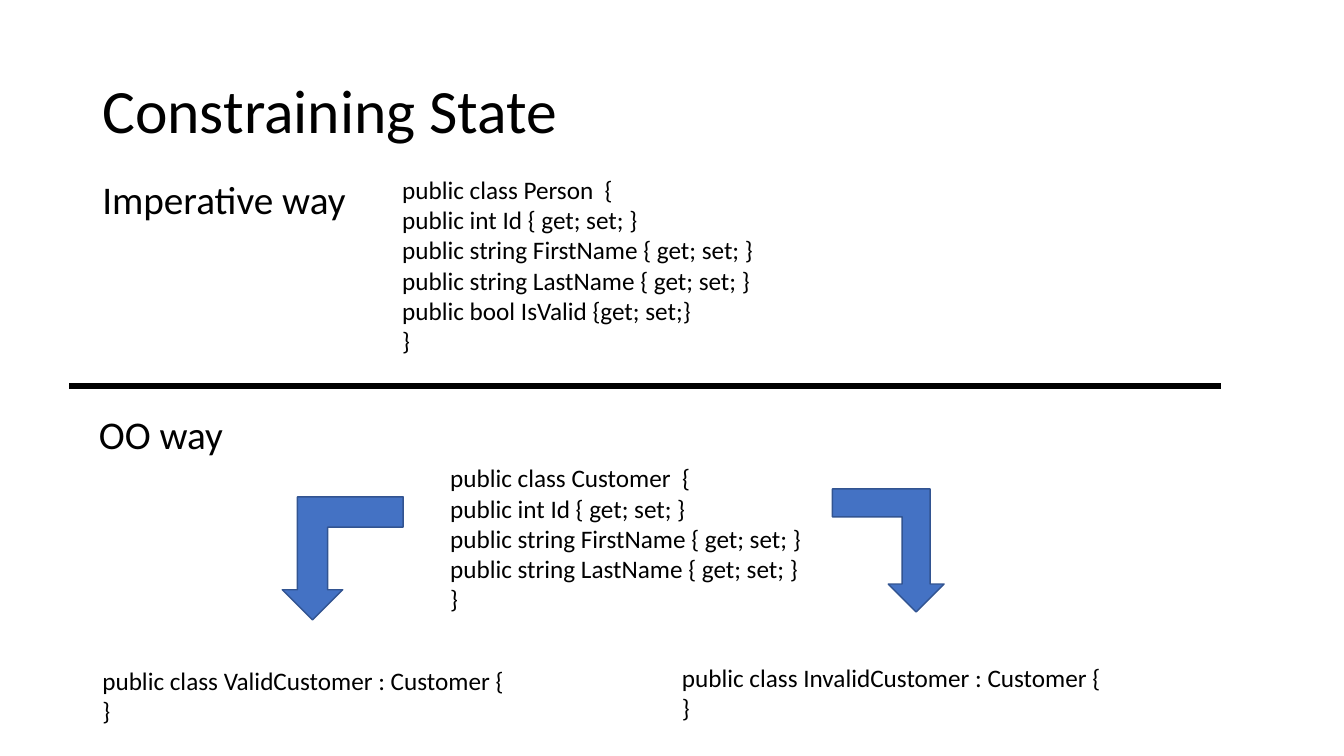
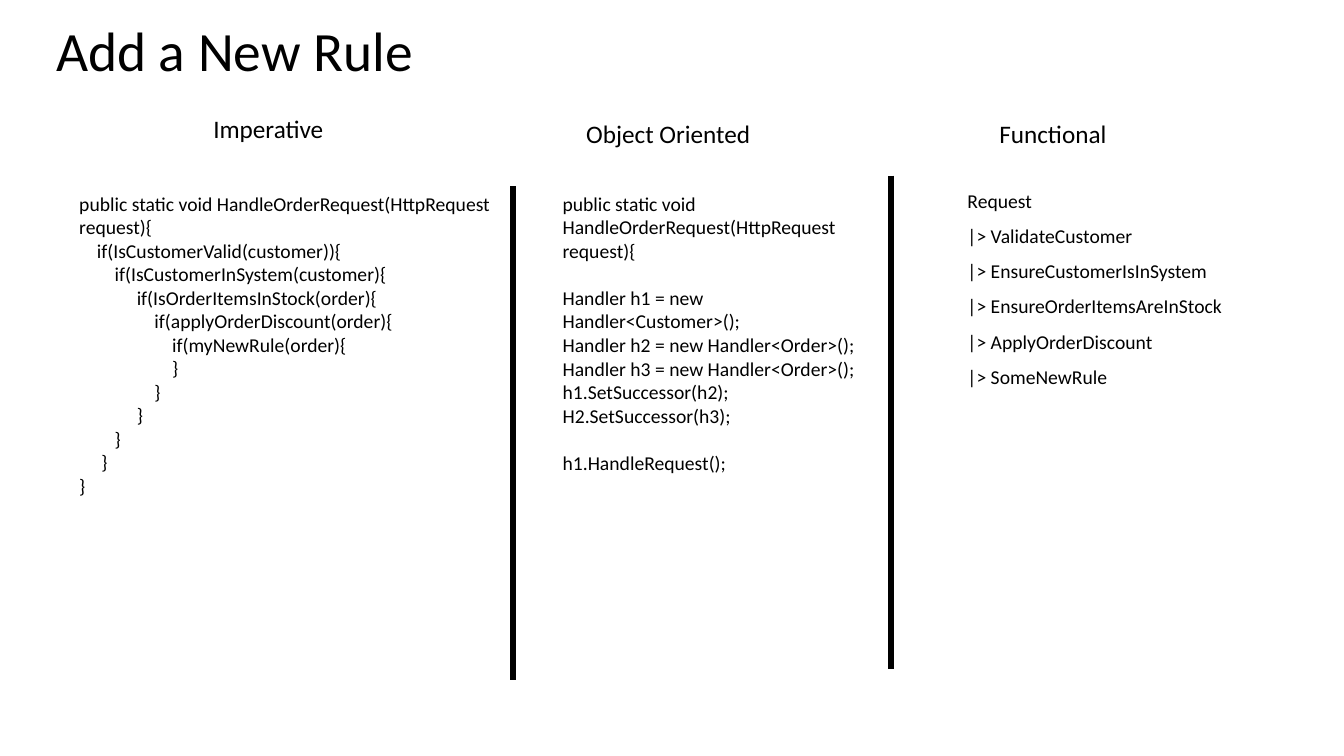
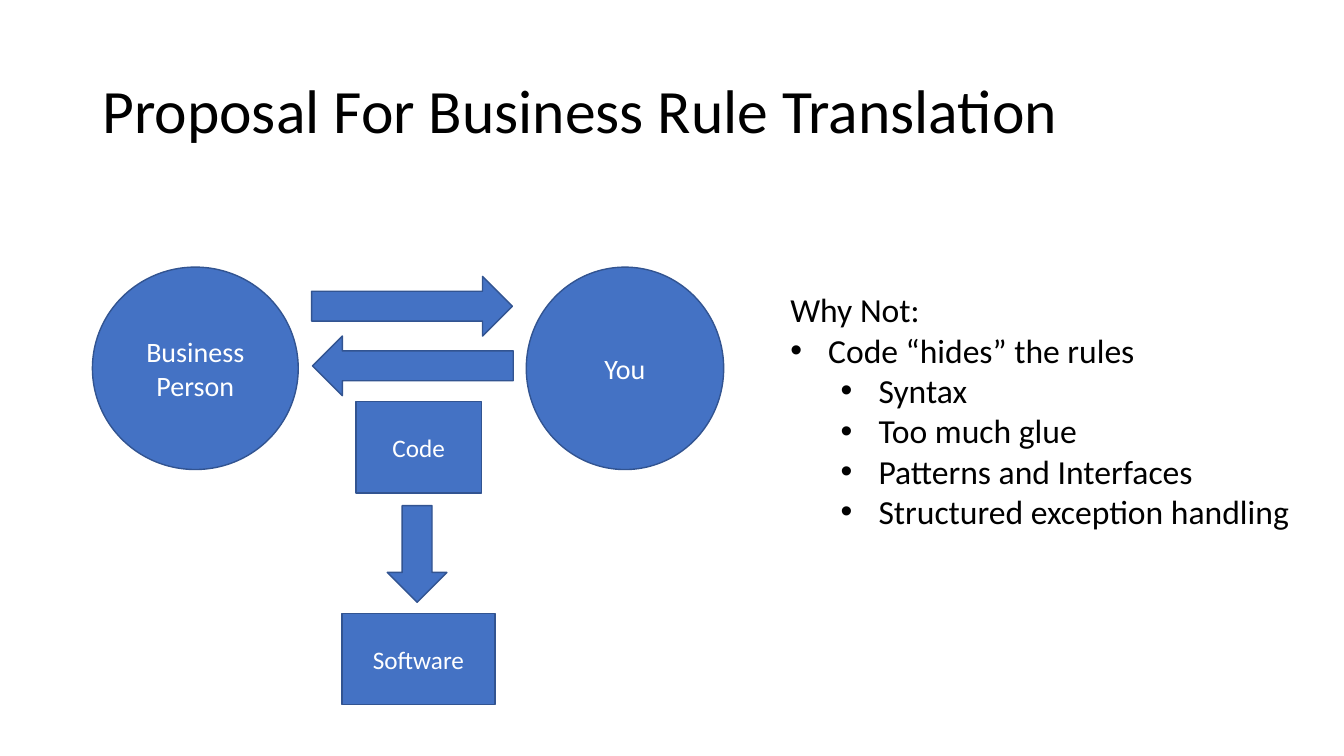
from dataclasses import dataclass

from pptx import Presentation
from pptx.dml.color import RGBColor
from pptx.enum.shapes import MSO_CONNECTOR as Link, MSO_SHAPE as Form
from pptx.enum.text import MSO_ANCHOR as Anchor, PP_ALIGN as Align
from pptx.oxml.ns import qn
from pptx.util import Emu, Inches, Pt

BLACK = RGBColor(0x00, 0x00, 0x00)
WHITE = RGBColor(0xFF, 0xFF, 0xFF)
BLUE = RGBColor(0x44, 0x72, 0xC4)
NAVY = RGBColor(0x32, 0x54, 0x91)
FONT = "Calibri"
WIDE, HIGH = Inches(13.33), Inches(7.5)
COLS, ROWS = 160, 90
SPACE = 3.16
LINE = 17
STEP = 27
NAME = "public string FirstName { get; set; }"
LAST = "public string LastName { get; set; }"
CODE_ID = "public int Id { get; set; }"
HANDLE = "public static void HandleOrderRequest(HttpRequest request){"


@dataclass
class Row:
    text: str
    gap: float = 0
    left: float = 0
    level: int = 0
    dot: bool = False


def col(n):
    return Emu(round(WIDE * n / COLS))


def row(n):
    return Emu(round(HIGH * n / ROWS))


def area(box):
    x, y, w, h = box
    return col(x), row(y), col(w), row(h)


def indent(para, item):
    props = para._p.get_or_add_pPr()
    props.set("marL", str(Pt(item.left)))
    if item.dot:
        props.set("indent", str(-Pt(STEP)))
        face = props.makeelement(qn("a:buFont"), {"typeface": "Arial"})
        mark = props.makeelement(qn("a:buChar"), {"char": "•"})
        props.extend([face, mark])


def write(frame, items, size, color=BLACK, align=Align.LEFT, tight=False):
    frame.word_wrap = True
    for i, item in enumerate(items):
        if isinstance(item, str):
            item = Row(item)
        para = frame.paragraphs[0] if i == 0 else frame.add_paragraph()
        para.alignment = align
        para.level = item.level
        if tight:
            para.line_spacing = 0.9
        if item.gap:
            para.space_before = Pt(item.gap)
        if item.left:
            indent(para, item)
        run = para.add_run()
        run.text = item.text
        run.font.name = FONT
        run.font.size = Pt(size)
        run.font.color.rgb = color


def text(slide, box, items, size, **style):
    frame = slide.shapes.add_textbox(*area(box)).text_frame
    write(frame, items, size, **style)
    return frame


def title(slide, words, box=(11, 4.8, 138, 17.4), size=44):
    frame = text(slide, box, [words], size, tight=True)
    frame.vertical_anchor = Anchor.MIDDLE


def label(slide, box, words):
    text(slide, box, [Row(words, gap=10)], 28, tight=True)


def shape(slide, form, box, words="", size=18, turn=0, flip=False):
    item = slide.shapes.add_shape(form, *area(box))
    item.shadow.inherit = False
    item.fill.solid()
    item.fill.fore_color.rgb = BLUE
    item.line.color.rgb = NAVY
    item.line.width = Pt(1)
    item.rotation = turn
    if flip:
        item.element.spPr.find(qn("a:xfrm")).set("flipH", "1")
    if words:
        item.text_frame.vertical_anchor = Anchor.MIDDLE
        write(item.text_frame, [words], size, WHITE, Align.CENTER)


def rule(slide, x, y, end, down):
    item = slide.shapes.add_connector(Link.STRAIGHT, col(x), row(y), col(end), row(down))
    item.line.color.rgb = BLACK
    item.line.width = Pt(4)
    props = item.element.spPr
    props.append(props.makeelement(qn("a:effectLst"), {}))


def state(slide):
    title(slide, "Constraining State")
    label(slide, (11, 20.9, 39.75, 7.3), "Imperative way")
    text(slide, (46.7, 20.15, 46.5, 23), [
        "public class Person  {", CODE_ID, NAME, LAST,
        "public bool IsValid {get; set;}", "}"], 18)
    label(slide, (10.6, 48.85, 39.75, 7.3), "OO way")
    for kind, box in (
        ("Valid", (11, 78.6, 51.6, 8.5)),
        ("Invalid", (80, 78.25, 59.2, 8.5)),
    ):
        text(slide, box, [f"public class {kind}Customer : Customer {{", "}"], 18)
    text(slide, (52.4, 54.5, 45, 19.4), [
        "public class Customer  {", CODE_ID, NAME, LAST, "}"], 18)
    shape(slide, Form.BENT_UP_ARROW, (33.6, 59.15, 14.4, 14.65), turn=180)
    shape(slide, Form.BENT_UP_ARROW, (99.1, 58.2, 13.3, 14.65), turn=180, flip=True)
    rule(slide, 8.25, 45.95, 145.35, 45.95)


def rules(slide):
    nest = [
        (0, HANDLE),
        (4, "if(IsCustomerValid(customer)){"),
        (8, "if(IsCustomerInSystem(customer){"),
        (13, "if(IsOrderItemsInStock(order){"),
        (17, "if(applyOrderDiscount(order){"),
        (21, "if(myNewRule(order){"),
    ] + [(n, "}") for n in (21, 17, 13, 8, 5, 0)]
    text(slide, (8.25, 22.2, 51.6, 41.65),
         [Row(words, left=n * SPACE) for n, words in nest], 14)
    text(slide, (65.8, 22.2, 40.3, 49.7), [
        HANDLE,
        Row("Handler h1 = new Handler<Customer>();", gap=LINE),
        "Handler h2 = new Handler<Order>();",
        "Handler h3 = new Handler<Order>();",
        "h1.SetSuccessor(h2);",
        "H2.SetSuccessor(h3);",
        Row("h1.HandleRequest();", gap=LINE)], 14)
    for words, box in (
        ("Imperative", (5.6, 12.85, 52.7, 4.85)),
        ("Object Oriented", (62.4, 13.55, 34.3, 4.85)),
        ("Functional", (108.2, 13.55, 34.3, 4.85)),
    ):
        text(slide, box, [words], 18, align=Align.CENTER)
    title(slide, "Add a New Rule", (5.5, 4.8, 138, 3.25), 39.6)
    for x, y in ((61.1, 22.2), (106.1, 20.9)):
        rule(slide, x, y, x, y + 58.8)
    calls = ["ValidateCustomer", "EnsureCustomerIsInSystem",
             "EnsureOrderItemsAreInStock", "ApplyOrderDiscount", "SomeNewRule"]
    pipe = ["Request"] + [f"|> {call}" for call in calls]
    text(slide, (114, 22.2, 40.8, 30.1),
         [Row(words, gap=10) for words in pipe], 14, tight=True)


def plan(slide):
    title(slide, "Proposal For Business Rule Translation")
    shape(slide, Form.OVAL, (11, 31.8, 24.5, 24.1), "Business Person", 20)
    shape(slide, Form.OVAL, (62.65, 31.8, 23.5, 24.1), "You", 20)
    shape(slide, Form.RECTANGLE, (42.4, 47.8, 14.9, 10.9), "Code")
    shape(slide, Form.RECTANGLE, (40.7, 73, 18.25, 10.9), "Software")
    for box, turn in (
        ((37.1, 32.9, 23.9, 7.1), 0),
        ((37.2, 40, 23.9, 7.1), 180),
        ((43.9, 62.4, 11.5, 7.1), 90),
    ):
        shape(slide, Form.RIGHT_ARROW, box, turn=turn)
    points = ["Syntax", "Too much glue", "Patterns and Interfaces",
              "Structured exception handling"]
    text(slide, (92.9, 33.85, 65, 30.25),
         ["Why Not:", Row("Code “hides” the rules", left=STEP, dot=True)]
         + [Row(words, left=STEP + 36, level=1, dot=True) for words in points], 24)


def main():
    deck = Presentation()
    deck.slide_width, deck.slide_height = WIDE, HIGH
    for draw in (state, rules, plan):
        draw(deck.slides.add_slide(deck.slide_layouts[6]))
    deck.save("out.pptx")


main()
